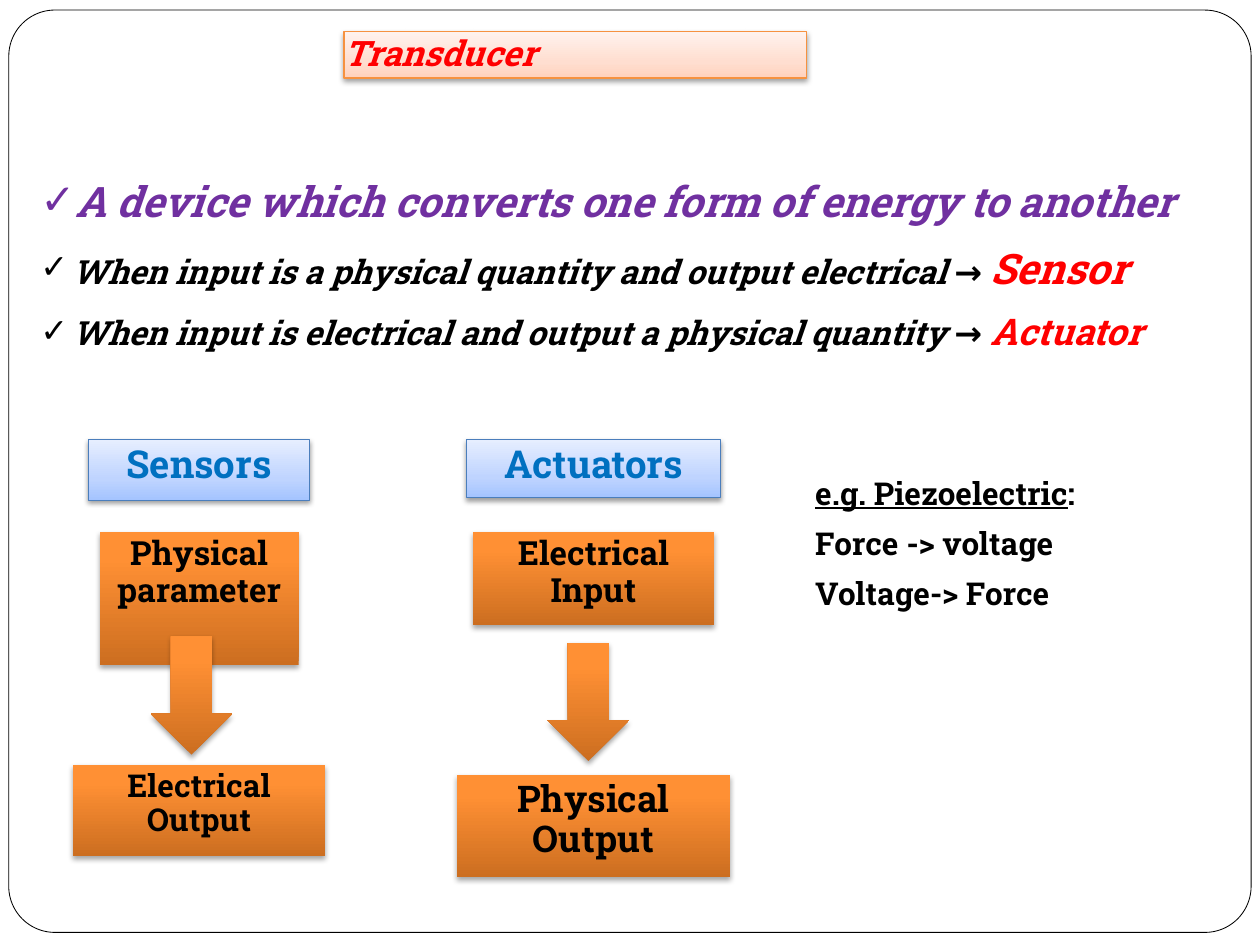
from pptx import Presentation
from pptx.dml.color import RGBColor
from pptx.enum.shapes import MSO_SHAPE as Geo
from pptx.enum.text import MSO_ANCHOR as Anchor, MSO_AUTO_SIZE as Fit, PP_ALIGN as Align
from pptx.oxml import parse_xml
from pptx.oxml.ns import nsdecls, qn
from pptx.util import Inches, Pt

FONT = "Roboto Slab"
HUE = {"black": "000000", "red": "FF0000", "violet": "7030A0", "blue": "0070C0",
       "rim": "4B7EBC", "amber": "F69240"}
GRADS = {
    "peach": [(0, "FFD2BD"), (35, "FFDED0"), (100, "FFF2ED")],
    "sky": [(0, "A4C4FF"), (35, "BFD4FF"), (100, "E6EEFF")],
    "orange": [(0, "CC6E20"), (80, "FF9034"), (100, "FF9136")],
}

# Each paragraph is a list of runs: (text, size, colour)
TITLE = [[("Transducer", 20, "red")]]
POINTS = [
    [("A device which converts one form of energy to another", 24, "violet")],
    [("When input is a physical quantity and output electrical → ", 19, "black"),
     ("Sensor", 24, "red")],
    [("When input is electrical and output a physical quantity → ", 19, "black"),
     ("Actuator", 21, "red")],
]
EXAMPLE = [
    [("e.g. Piezoelectric", 18, "black", True), (":", 18, "black")],
    [("Force -> voltage", 18, "black")],
    [("Voltage-> Force", 18, "black")],
]
# Each flow: centre x, arrow top, then boxes (text, size, top, width, height)
FLOWS = [
    (1.58, 1.52, 5.05, [("Sensors", 22, 3.49, 1.76, 0.48),
                        ("Physical parameter", 19, 4.22, 1.58, 1.06),
                        ("Electrical Output", 18, 6.07, 2.0, 0.72)]),
    (4.71, 4.67, 5.1, [("Actuators", 22, 3.49, 2.02, 0.46),
                       ("Electrical Input", 19, 4.22, 1.92, 0.74),
                       ("Physical Output", 21, 6.15, 2.17, 0.81)]),
]
ARROW = (0.65, 0.94)


def write(shape, paras, align=Align.LEFT, italic=False, inset=(0.09, 0.04),
          bullet=None, lead=0.91):
    frame = shape.text_frame
    frame.word_wrap, frame.auto_size = True, Fit.NONE
    frame.vertical_anchor = Anchor.TOP
    frame.margin_left = frame.margin_right = Inches(inset[0])
    frame.margin_top = frame.margin_bottom = Inches(inset[1])
    for i, runs in enumerate(paras):
        para = frame.paragraphs[0] if i == 0 else frame.add_paragraph()
        para.alignment, para.line_spacing = align, lead
        para.space_before = Pt(runs[0][1] / 2 if i else 0)
        if bullet:
            props = para._p.get_or_add_pPr()
            props.set("marL", str(Inches(0.25)))
            props.set("indent", str(-Inches(0.25)))
            props.append(parse_xml(f'<a:buChar {nsdecls("a")} char="{bullet}"/>'))
        for text, size, hue, *under in runs:
            run = para.add_run()
            run.text = text
            font = run.font
            font.name, font.size, font.bold, font.italic = FONT, Pt(size), True, italic
            font.underline = bool(under)
            font.color.rgb = RGBColor.from_string(HUE[hue])


def paint(shape, grad, rim=None, dark=35, dist=1.8):
    """Give a shape an upward gradient, an optional outline and a soft shadow."""
    shape.fill.gradient()
    shape.fill.gradient_angle = 90
    stops = shape._element.spPr.find(".//" + qn("a:gsLst"))
    for stop in list(stops):
        stops.remove(stop)
    for pos, hue in GRADS[grad]:
        stops.append(parse_xml(f'<a:gs {nsdecls("a")} pos="{pos * 1000}">'
                               f'<a:srgbClr val="{hue}"/></a:gs>'))
    if rim:
        shape.line.color.rgb = RGBColor.from_string(HUE[rim])
        shape.line.width = Pt(0.75)
    else:
        shape.line.fill.background()
    shape._element.spPr.append(parse_xml(
        f'<a:effectLst {nsdecls("a")}><a:outerShdw blurRad="{Pt(3.1)}" dist="{Pt(dist)}" '
        f'dir="5400000" rotWithShape="0"><a:srgbClr val="000000">'
        f'<a:alpha val="{dark * 1000}"/></a:srgbClr></a:outerShdw></a:effectLst>'))


def place(shape, *box):
    shape.left, shape.top, shape.width, shape.height = map(Inches, box)


def add(geo, mid, top, wide, high):
    """Add a preset shape centred on mid."""
    return slide.shapes.add_shape(geo, *map(Inches, (mid - wide / 2, top, wide, high)))


deck = Presentation()
deck.slide_width, deck.slide_height = Inches(10), Inches(7.5)
slide = deck.slides.add_slide(deck.slide_layouts[1])
title, body = slide.placeholders

border = add(Geo.ROUNDED_RECTANGLE, 5, 0.08, 9.86, 7.32)
border.adjustments[0] = 0.05
border.shadow.inherit = False
border.fill.background()
border.line.color.rgb = RGBColor.from_string(HUE["black"])
border.line.width = Pt(0.48)
slide.shapes._spTree.insert(2, border._element)

place(title, 2.73, 0.25, 3.67, 0.37)
paint(title, "peach", "amber", 38, 1.6)
write(title, TITLE, italic=True, inset=(0, 0), lead=1)

place(body, 0.23, 1.35, 9.54, 3.14)
write(body, POINTS, Align.JUSTIFY, italic=True, bullet="✓", lead=1)

for mid, tip, top, boxes in FLOWS:
    for i, (text, size, *box) in enumerate(boxes):
        shape = add(Geo.RECTANGLE, mid, *box)
        if i == 0:
            paint(shape, "sky", "rim", 38, 1.6)
        else:
            paint(shape, "orange")
        write(shape, [[(text, size, "black" if i else "blue")]], Align.CENTER)
    paint(add(Geo.DOWN_ARROW, tip, top, *ARROW), "orange")

note = slide.shapes.add_textbox(*map(Inches, (6.38, 3.75, 2.58, 1.75)))
write(note, EXAMPLE)

deck.save("out.pptx")
